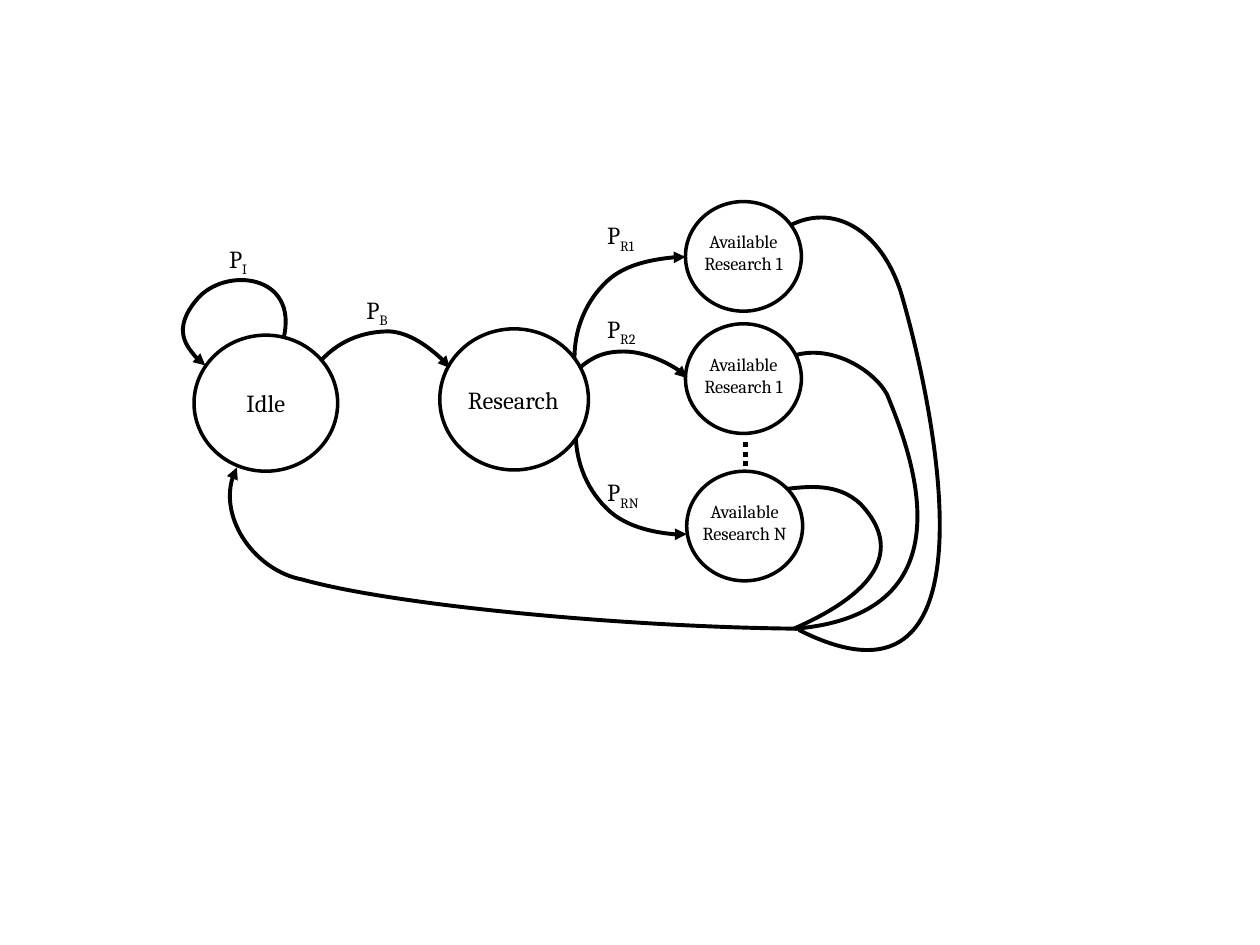
from dataclasses import dataclass

from lxml.etree import SubElement
from pptx import Presentation
from pptx.dml.color import RGBColor
from pptx.enum.dml import MSO_LINE
from pptx.enum.shapes import MSO_CONNECTOR, MSO_SHAPE
from pptx.enum.text import MSO_ANCHOR, MSO_AUTO_SIZE, PP_ALIGN
from pptx.oxml.ns import qn
from pptx.util import Inches, Pt


@dataclass(frozen=True)
class Theme:
    font: str = "Cambria"
    ink: RGBColor = RGBColor(0, 0, 0)
    paper: RGBColor = RGBColor(255, 255, 255)
    large: float = 14
    small: float = 10.5
    outline: float = 2
    curve: float = 2.25
    dots: float = 2.75


THEME = Theme()


def set_line(line, width):
    line.color.rgb = THEME.ink
    line.width = Pt(width)


def write_paragraph(paragraph, text, size, align):
    paragraph.text = text
    paragraph.alignment = align
    paragraph.font.name = THEME.font
    paragraph.font.size = Pt(size)
    paragraph.font.color.rgb = THEME.ink


def add_text(slide, box, lines, size, align=PP_ALIGN.CENTER):
    frame = slide.shapes.add_textbox(*map(Inches, box)).text_frame
    frame.word_wrap = False
    frame.auto_size = MSO_AUTO_SIZE.SHAPE_TO_FIT_TEXT
    for index, text in enumerate(lines):
        paragraph = frame.add_paragraph() if index else frame.paragraphs[0]
        write_paragraph(paragraph, text, size, align)
    return frame


def add_probability(slide, left, top, width, subscript):
    frame = add_text(slide, (left, top, width, 0.34), ["P"], THEME.large, PP_ALIGN.LEFT)
    run = frame.paragraphs[0].add_run()
    run.text = subscript
    run.font._element.set("baseline", "-25000")


def add_circle(slide, box):
    circle = slide.shapes.add_shape(MSO_SHAPE.OVAL, *map(Inches, box))
    circle.shadow.inherit = False
    circle.fill.solid()
    circle.fill.fore_color.rgb = THEME.paper
    set_line(circle.line, THEME.outline)
    return circle


def bezier(controls, t):
    """Point at t on the cubic curve with four control points."""
    weights = ((1 - t) ** 3, 3 * t * (1 - t) ** 2, 3 * t * t * (1 - t), t ** 3)
    return tuple(sum(w * p[axis] for w, p in zip(weights, controls)) for axis in (0, 1))


def add_curve(slide, points, arrow=True):
    """Draw joined cubic curves: a start point, then three points per curve."""
    # The frame fits the curve, not its control points
    samples = [bezier(points[i:i + 4], step / 40)
               for i in range(0, len(points) - 1, 3) for step in range(41)]
    xs, ys = zip(*samples)
    left, top, right, bottom = map(Inches, (min(xs), min(ys), max(xs), max(ys)))
    builder = slide.shapes.build_freeform(left, top, scale=1.0)
    builder.add_line_segments([(right, bottom)], close=False)
    curve = builder.convert_to_shape()

    # Replace the straight segment by the cubic curves
    outline = next(curve._element.iter(qn("a:path")))
    for segment in list(outline):
        outline.remove(segment)
    commands = [("a:moveTo", points[:1])]
    commands += [("a:cubicBezTo", points[i:i + 3]) for i in range(1, len(points), 3)]
    for tag, targets in commands:
        command = SubElement(outline, qn(tag))
        for x, y in targets:
            SubElement(command, qn("a:pt"), x=str(Inches(x) - left), y=str(Inches(y) - top))

    curve.shadow.inherit = False
    curve.fill.background()
    set_line(curve.line, THEME.curve)
    if arrow:
        SubElement(curve.line._get_or_add_ln(), qn("a:tailEnd"), type="triangle")


def add_idle_state(slide, left, top):
    circle = add_circle(slide, (left, top, 1.14, 1.08))
    circle.text_frame.vertical_anchor = MSO_ANCHOR.MIDDLE
    write_paragraph(circle.text_frame.paragraphs[0], "Idle", THEME.large, PP_ALIGN.CENTER)


def add_research_state(slide, left, top):
    add_circle(slide, (left, top, 1.18, 1.12))
    add_text(slide, (left + 0.07, top + 0.4, 1.03, 0.34), ["Research"], THEME.large)


def add_available_state(slide, left, top, number, text_width):
    width = 0.92
    add_circle(slide, (left, top, width, 0.87))
    add_text(slide, (left + (width - text_width) / 2, top + 0.18, text_width, 0.45),
             ["Available", f"Research {number}"], THEME.small)


def add_ellipsis(slide, x, top, bottom):
    dots = slide.shapes.add_connector(
        MSO_CONNECTOR.STRAIGHT, *map(Inches, (x, top, x, bottom)))
    set_line(dots.line, THEME.dots)
    dots.line.dash_style = MSO_LINE.ROUND_DOT
    SubElement(dots._element.spPr, qn("a:effectLst"))


# Curves from the available states to the point where they join
JOINING_CURVES = [
    [(6.34, 5), (8.02, 5.85), (7.37, 3.06), (7.15, 2.32),
     (6.99, 1.82), (6.61, 1.61), (6.27, 1.79)],
    [(6.31, 4.99), (7.74, 4.87), (7.22, 3.57), (7.04, 3.13),
     (6.93, 2.93), (6.58, 2.72), (6.28, 2.83)],
    [(6.3, 4.99), (7.26, 4.57), (6.99, 4.17), (6.83, 4),
     (6.66, 3.84), (6.44, 3.85), (6.18, 3.89)],
]
# Arrows that start or end under a circle
FORWARD_ARROWS = [
    [(4.56, 2.88), (4.55, 2.59), (4.67, 2.37), (4.82, 2.23),
     (4.97, 2.09), (5.34, 2.03), (5.44, 2.04)],
    [(4.5, 3.02), (4.67, 2.83), (4.79, 2.79), (4.95, 2.79),
     (5.11, 2.79), (5.41, 2.92), (5.45, 3)],
    [(4.57, 3.4), (4.56, 3.69), (4.68, 3.91), (4.83, 4.05),
     (4.98, 4.19), (5.35, 4.26), (5.45, 4.24)],
    [(2.54, 2.87), (2.71, 2.68), (2.92, 2.63), (3.09, 2.63),
     (3.26, 2.64), (3.52, 2.84), (3.57, 2.92)],
]
# Arrows that end on top of the idle state
IDLE_ARROWS = [
    [(2.25, 2.69), (2.38, 2.17), (1.78, 2.11), (1.56, 2.38),
     (1.36, 2.62), (1.55, 2.86), (1.63, 2.9)],
    [(6.36, 4.99), (5.01, 4.98), (3.15, 4.81), (2.4, 4.6),
     (2.03, 4.53), (1.69, 4.06), (1.88, 3.71)],
]
AVAILABLE_STATES = [(5.44, 1.6, "1", 0.95), (5.44, 2.57, "1", 0.95), (5.45, 3.74, "N", 0.99)]
PROBABILITIES = [
    (1.72, 1.89, 0.39, "I"), (2.81, 2.29, 0.43, "B"),
    (4.72, 1.7, 0.5, "R1"), (4.72, 2.44, 0.5, "R2"), (4.72, 3.74, 0.54, "RN"),
]


def add_state_diagram(slide):
    for points in JOINING_CURVES:
        add_curve(slide, points, arrow=False)
    for points in FORWARD_ARROWS:
        add_curve(slide, points)

    # States
    add_idle_state(slide, 1.54, 2.66)
    add_research_state(slide, 3.49, 2.61)
    for state in AVAILABLE_STATES:
        add_available_state(slide, *state)
    add_ellipsis(slide, 5.92, 3.51, 3.7)

    for points in IDLE_ARROWS:
        add_curve(slide, points)
    for probability in PROBABILITIES:
        add_probability(slide, *probability)


presentation = Presentation()
presentation.slide_width = Inches(10)
presentation.slide_height = Inches(7.5)
blank_layout = presentation.slide_layouts.get_by_name("Blank")
add_state_diagram(presentation.slides.add_slide(blank_layout))
presentation.save("out.pptx")
